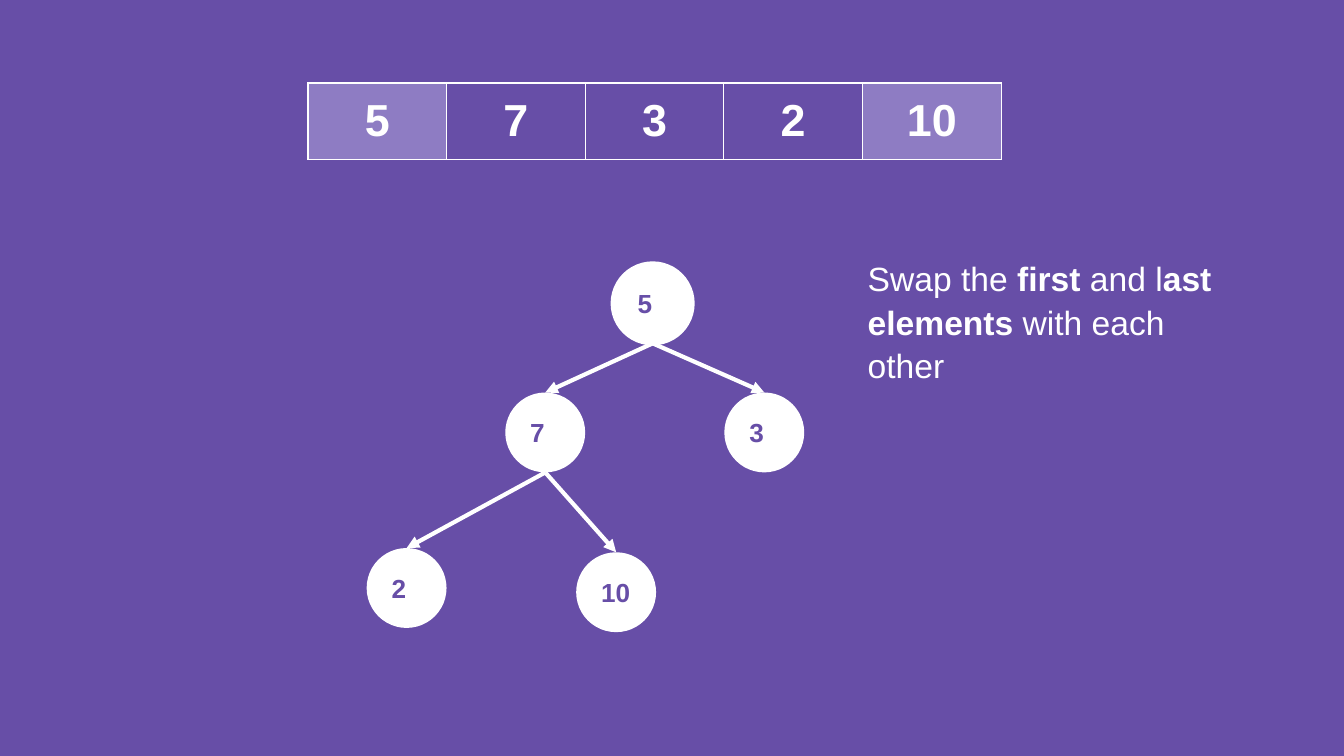
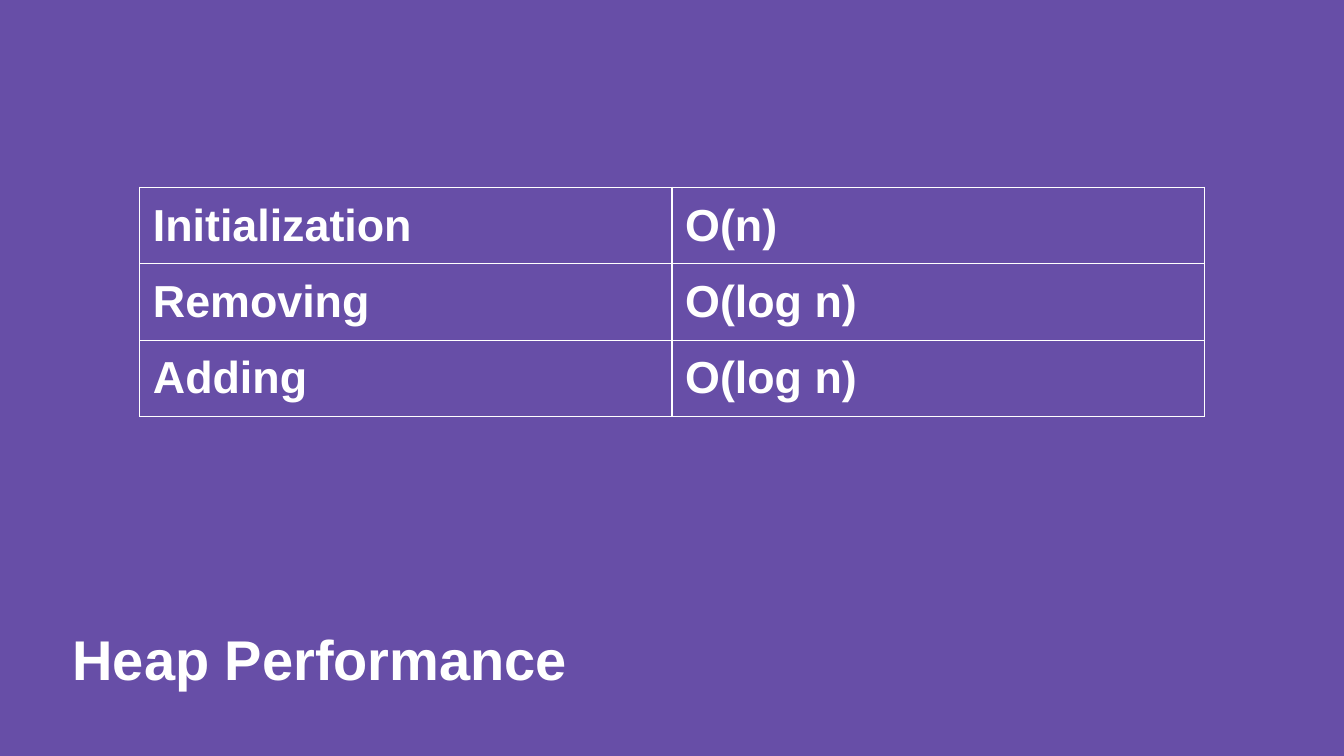
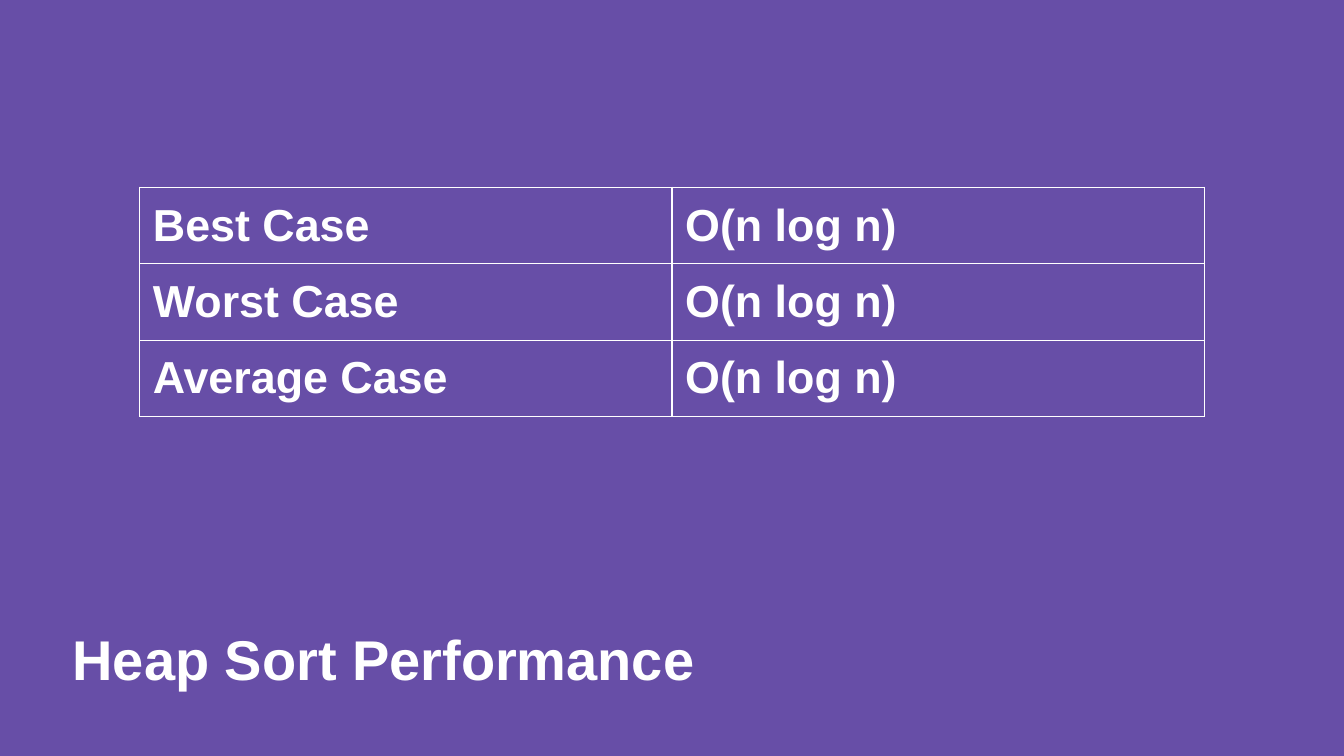
from lxml import etree
from pptx import Presentation
from pptx.dml.color import RGBColor
from pptx.enum.shapes import MSO_CONNECTOR, MSO_SHAPE
from pptx.enum.text import MSO_ANCHOR, MSO_AUTO_SIZE, PP_ALIGN
from pptx.oxml.ns import qn
from pptx.util import Cm, Pt

STRAIGHT = MSO_CONNECTOR.STRAIGHT
ELLIPSE = MSO_SHAPE.OVAL
TOP, MIDDLE = MSO_ANCHOR.TOP, MSO_ANCHOR.MIDDLE
NO_FIT = MSO_AUTO_SIZE.NONE
LEFT, CENTER = PP_ALIGN.LEFT, PP_ALIGN.CENTER

PURPLE = "674EA7"
LILAC = "8E7CC3"
WHITE = "FFFFFF"
FONT = "Arial"
INSET = Cm(0.25)
TEXT_SPACING = 1.08
NODE_SIZE = 1.51
TITLE_ONLY, BLANK = 5, 6

HEAP_NODES = {
    "5": (4.65, 0),
    "7": (2.62, 2.44),
    "3": (6.76, 2.44),
    "2": (0, 5.38),
    "10": (3.96, 5.46),
}
HEAP_EDGES = [("5", "7"), ("5", "3"), ("7", "2"), ("7", "10")]
SWAP_HINT = [
    ("Swap the", False),
    (" first", True),
    (" and l", False),
    ("ast elements ", True),
    ("with each other", False),
]
PERFORMANCE = {
    "Heap Performance": [
        ("Initialization", "O(n)"),
        ("Removing", "O(log n)"),
        ("Adding", "O(log n)"),
    ],
    "Heap Sort Performance": [
        ("Best Case", "O(n log n)"),
        ("Worst Case", "O(n log n)"),
        ("Average Case", "O(n log n)"),
    ],
}


def paint(colour_format, hex_colour):
    colour_format.rgb = RGBColor.from_string(hex_colour)


def fill_with(fill, hex_colour):
    if hex_colour is None:
        fill.background()
    else:
        fill.solid()
        paint(fill.fore_color, hex_colour)


def style_run(run, size, colour, bold):
    run.font.name = FONT
    run.font.size = Pt(size)
    run.font.bold = bold
    paint(run.font.color, colour)


def style_line(paragraph, size, colour, align=LEFT):
    paragraph.alignment = align
    for run in paragraph.runs:
        style_run(run, size, colour, True)


def set_insets(holder):
    holder.margin_left = holder.margin_right = INSET
    holder.margin_top = holder.margin_bottom = INSET


def prepare_frame(frame, anchor):
    frame.word_wrap = True
    frame.auto_size = NO_FIT
    frame.vertical_anchor = anchor
    set_insets(frame)


def add_borders(cell):
    properties = cell._tc.get_or_add_tcPr()
    for side in ("lnL", "lnR", "lnT", "lnB"):
        border = etree.SubElement(properties, qn(f"a:{side}"), w=str(Pt(0.75)))
        solid = etree.SubElement(border, qn("a:solidFill"))
        etree.SubElement(solid, qn("a:srgbClr"), val=WHITE)


def add_grid(slide, box, rows, align=LEFT, fills=None):
    left, top, column_width, row_height = box
    columns = len(rows[0])
    grid = slide.shapes.add_table(
        len(rows), columns, Cm(left), Cm(top),
        Cm(column_width * columns), Cm(row_height * len(rows))).table
    grid.first_row = grid.horz_banding = False
    for column in grid.columns:
        column.width = Cm(column_width)
    for r, entries in enumerate(rows):
        grid.rows[r].height = Cm(row_height)
        for c, entry in enumerate(entries):
            cell = grid.cell(r, c)
            cell.text_frame.text = entry
            style_line(cell.text_frame.paragraphs[0], 24, WHITE, align)
            set_insets(cell)
            add_borders(cell)
            fill_with(cell.fill, fills[c] if fills else None)


def add_node(slide, left, top, value, is_root):
    node = slide.shapes.add_shape(
        ELLIPSE, Cm(left), Cm(top), Cm(NODE_SIZE), Cm(NODE_SIZE))
    node.shadow.inherit = False
    fill_with(node.fill, WHITE)
    fill_with(node.line.fill, WHITE if is_root else None)
    if is_root:
        node.line.width = Pt(2.25)
    prepare_frame(node.text_frame, MIDDLE)
    node.text_frame.text = value
    style_line(node.text_frame.paragraphs[0], 14, PURPLE)


def add_edge(slide, start, end):
    edge = slide.shapes.add_connector(
        STRAIGHT, *(Cm(length) for length in (*start, *end)))
    fill_with(edge.line.fill, WHITE)
    edge.line.width = Pt(2.25)
    etree.SubElement(edge.line._get_or_add_ln(), qn("a:tailEnd"), type="triangle")
    etree.SubElement(edge._element.spPr, qn("a:effectLst"))


def add_heap_tree(slide, left, top):
    places = {value: (left + x, top + y) for value, (x, y) in HEAP_NODES.items()}
    root = HEAP_EDGES[0][0]
    for value, (x, y) in places.items():
        add_node(slide, x, y, value, value == root)
    for parent, child in HEAP_EDGES:
        parent_x, parent_y = places[parent]
        child_x, child_y = places[child]
        add_edge(slide, (parent_x + NODE_SIZE / 2, parent_y + NODE_SIZE),
                 (child_x + NODE_SIZE / 2, child_y))


def add_hint(slide, box):
    hint = slide.shapes.add_textbox(*(Cm(length) for length in box))
    prepare_frame(hint.text_frame, TOP)
    sentence = hint.text_frame.paragraphs[0]
    sentence.line_spacing = TEXT_SPACING
    for words, bold in SWAP_HINT:
        run = sentence.add_run()
        run.text = words
        style_run(run, 18, WHITE, bold)


def place_title(slide, box, wording):
    title = slide.shapes.title
    title.left, title.top, title.width, title.height = (Cm(n) for n in box)
    prepare_frame(title.text_frame, TOP)
    title.text_frame.text = wording
    heading = title.text_frame.paragraphs[0]
    heading.line_spacing = TEXT_SPACING
    style_line(heading, 30, WHITE)


def build_swap_slide(deck):
    slide = deck.slides.add_slide(deck.slide_layouts[BLANK])
    fills = [LILAC, PURPLE, None, PURPLE, LILAC]
    add_grid(slide, (5.82, 1.57, 2.62, 1.19), [list(HEAP_NODES)], CENTER, fills)
    add_heap_tree(slide, 6.93, 4.98)
    add_hint(slide, (16.15, 4.57, 7.14, 2.36))


def build_performance_slide(deck, wording, rows):
    slide = deck.slides.add_slide(deck.slide_layouts[TITLE_ONLY])
    place_title(slide, (1.12, 11.46, 15.06, 1.35), wording)
    add_grid(slide, (2.64, 3.54, 10.06, 1.07), rows)


def main():
    deck = Presentation()
    deck.slide_width, deck.slide_height = Cm(25.4), Cm(14.29)
    fill_with(deck.slide_master.background.fill, PURPLE)
    build_swap_slide(deck)
    for wording, rows in PERFORMANCE.items():
        build_performance_slide(deck, wording, rows)
    deck.save("out.pptx")


if __name__ == "__main__":
    main()
